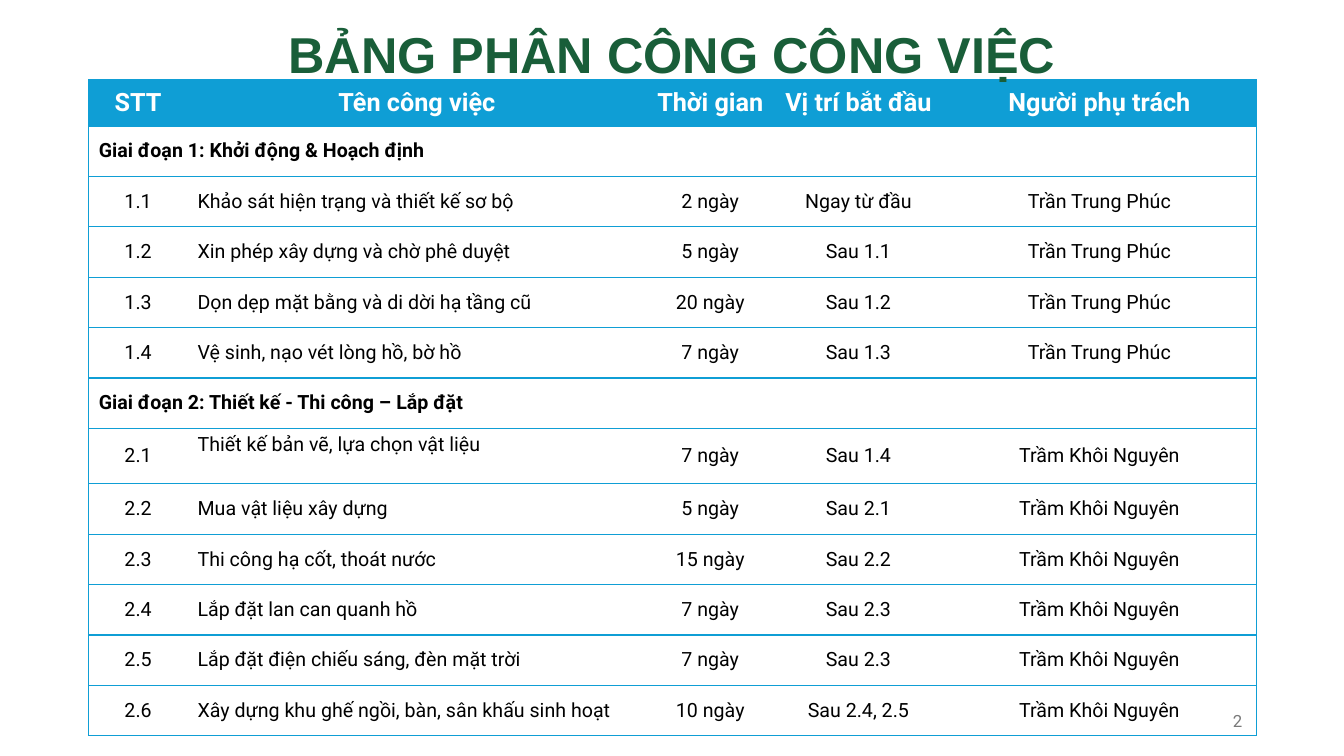
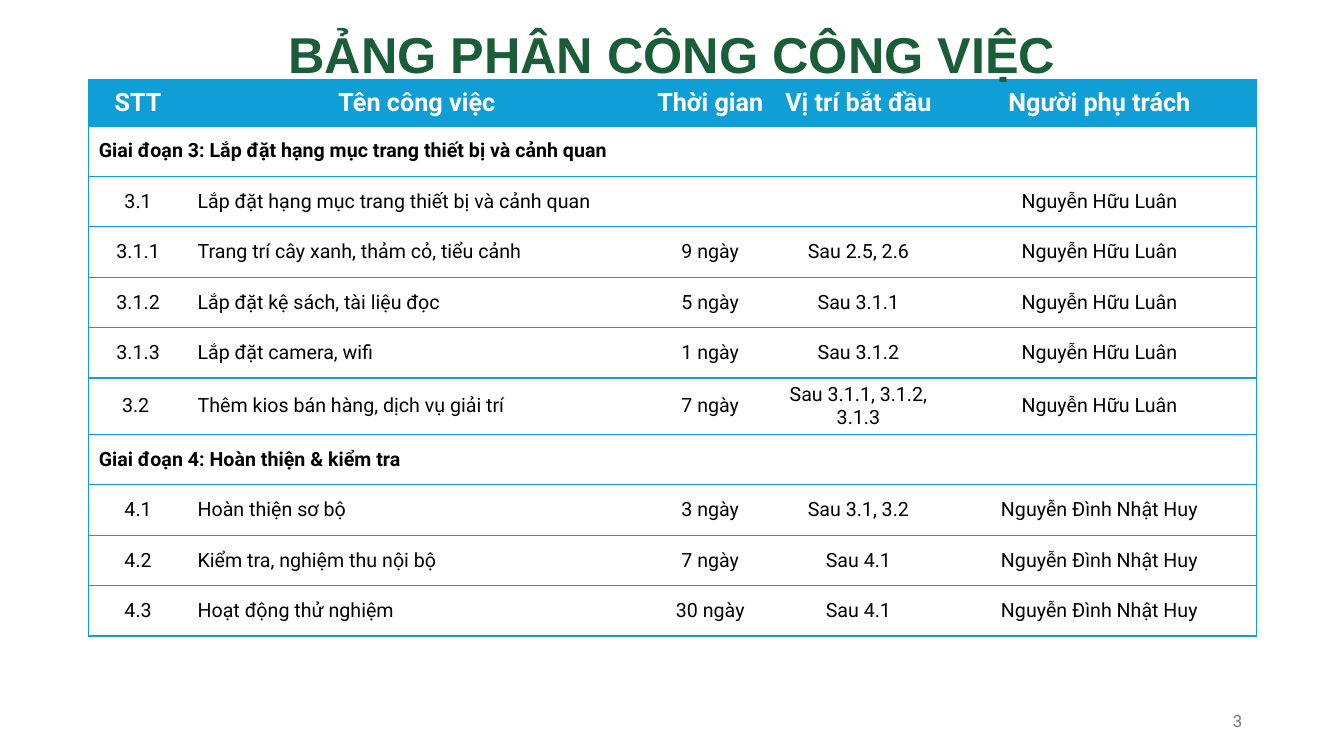
from lxml import etree
from pptx import Presentation
from pptx import util as u
from pptx.dml.color import RGBColor
from pptx.enum import text
from pptx.oxml.ns import qn

# Content: a plain string opens a phase, a tuple is one task
TITLE = "BẢNG PHÂN CÔNG CÔNG VIỆC"
HEADER = ("STT", "Tên công việc", "Thời gian", "Vị trí bắt đầu", "Người phụ trách")
PHUC, NGUYEN = "Trần Trung Phúc", "Trầm Khôi Nguyên"
LUAN, HUY = "Nguyễn Hữu Luân", "Nguyễn Đình Nhật Huy"
SLIDES = [
    [
        "Giai đoạn 1: Khởi động & Hoạch định",
        ("1.1", "Khảo sát hiện trạng và thiết kế sơ bộ", "2 ngày", "Ngay từ đầu", PHUC),
        ("1.2", "Xin phép xây dựng và chờ phê duyệt", "5 ngày", "Sau 1.1", PHUC),
        ("1.3", "Dọn dẹp mặt bằng và di dời hạ tầng cũ", "20 ngày", "Sau 1.2", PHUC),
        ("1.4", "Vệ sinh, nạo vét lòng hồ, bờ hồ", "7 ngày", "Sau 1.3", PHUC),
        "Giai đoạn 2: Thiết kế - Thi công – Lắp đặt",
        ("2.1", "Thiết kế bản vẽ, lựa chọn vật liệu", "7 ngày", "Sau 1.4", NGUYEN),
        ("2.2", "Mua vật liệu xây dựng", "5 ngày", "Sau 2.1", NGUYEN),
        ("2.3", "Thi công hạ cốt, thoát nước", "15 ngày", "Sau 2.2", NGUYEN),
        ("2.4", "Lắp đặt lan can quanh hồ", "7 ngày", "Sau 2.3", NGUYEN),
        ("2.5", "Lắp đặt điện chiếu sáng, đèn mặt trời", "7 ngày", "Sau 2.3", NGUYEN),
        ("2.6", "Xây dựng khu ghế ngồi, bàn, sân khấu sinh hoạt", "10 ngày", "Sau 2.4, 2.5", NGUYEN),
    ],
    [
        "Giai đoạn 3: Lắp đặt hạng mục trang thiết bị và cảnh quan",
        ("3.1", "Lắp đặt hạng mục trang thiết bị và cảnh quan", "", "", LUAN),
        ("3.1.1", "Trang trí cây xanh, thảm cỏ, tiểu cảnh", "9 ngày", "Sau 2.5, 2.6", LUAN),
        ("3.1.2", "Lắp đặt kệ sách, tài liệu đọc", "5 ngày", "Sau 3.1.1", LUAN),
        ("3.1.3", "Lắp đặt camera, wifi", "1 ngày", "Sau 3.1.2", LUAN),
        ("3.2 ", "Thêm kios bán hàng, dịch vụ giải trí", "7 ngày", "Sau 3.1.1, 3.1.2, 3.1.3", LUAN),
        "Giai đoạn 4: Hoàn thiện & kiểm tra",
        ("4.1", "Hoàn thiện sơ bộ", "3 ngày", "Sau 3.1, 3.2", HUY),
        ("4.2", "Kiểm tra, nghiệm thu nội bộ", "7 ngày", "Sau 4.1", HUY),
        ("4.3", "Hoạt động thử nghiệm", "30 ngày", "Sau 4.1", HUY),
    ],
]
FIRST_NUMBER = 2

# Theme and grid
LINE = "0F9ED5"
THEME = {
    "title": dict(name="Arial", size=36, bold=True, color="195E39"),
    "header": dict(name="Roboto", size=18, bold=True, color="FFFFFF"),
    "phase": dict(name="Roboto", size=14, bold=True, color="000000"),
    "task": dict(name="Roboto", size=14, bold=False, color="000000"),
    "number": dict(name="Roboto", size=12, bold=False, color="797979"),
}
WIDTH, HEIGHT = 13.33, 7.5
LEFT, TOP = 0.88, 0.79
COLS = (0.98, 4.55, 1.27, 1.67, 3.11)
HEADER_H, ROW_H = 0.46, 0.5
TALL_ROWS = {"2.1": 0.55, "3.2 ": 0.56}
TOP_ALIGNED = {"2.1"}  # tasks whose name sits at the top of the cell
CENTER, RIGHT, START = text.PP_ALIGN.CENTER, text.PP_ALIGN.RIGHT, text.PP_ALIGN.LEFT
MIDDLE, UPPER = text.MSO_ANCHOR.MIDDLE, text.MSO_ANCHOR.TOP


def write(tf, words, style, align):
    p = tf.paragraphs[0]
    p.alignment = align
    r = p.add_run()
    r.text = words
    fmt = dict(THEME[style])
    r.font.color.rgb = RGBColor.from_string(fmt.pop("color"))
    fmt["size"] = u.Pt(fmt["size"])
    for key, value in fmt.items():
        setattr(r.font, key, value)
    return p


def place(sp, *box):
    for key, value in zip(("left", "top", "width", "height"), box):
        setattr(sp, key, u.Inches(value))


def set_borders(cell, sides):
    tcPr = cell._tc.get_or_add_tcPr()
    for side in "LRTB":
        ln = etree.SubElement(tcPr, qn(f"a:ln{side}"), w=str(u.Pt(1)))
        if side in sides:
            fill = etree.SubElement(ln, qn("a:solidFill"))
            etree.SubElement(fill, qn("a:srgbClr"), val=LINE)
        else:
            etree.SubElement(ln, qn("a:noFill"))


def add_schedule(s, rows):
    heights = [HEADER_H] + [TALL_ROWS.get(row[0], ROW_H) for row in rows]
    frame = s.shapes.add_table(len(heights), len(COLS), u.Inches(LEFT), u.Inches(TOP),
                               u.Inches(sum(COLS)), u.Inches(sum(heights)))
    table = frame.table
    table.first_row = table.horz_banding = False
    for col, w in zip(table.columns, COLS):
        col.width = u.Inches(w)
    for i, (row, h) in enumerate(zip([HEADER] + rows, heights)):
        table.rows[i].height = u.Inches(h)
        is_phase = isinstance(row, str)
        style = "header" if i == 0 else "phase" if is_phase else "task"
        if is_phase:
            table.cell(i, 0).merge(table.cell(i, len(COLS) - 1))
        for j in range(len(COLS)):
            cell = table.cell(i, j)
            is_last = is_phase or j == len(COLS) - 1
            set_borders(cell, "TB" + "L" * (j == 0) + "R" * is_last)
            if i == 0:
                cell.fill.solid()
                cell.fill.fore_color.rgb = RGBColor.from_string(LINE)
            else:
                cell.fill.background()
            cell.vertical_anchor = UPPER if j == 1 and row[0] in TOP_ALIGNED else MIDDLE
            words = row[j] if not is_phase else row if j == 0 else ""
            if words:
                align = START if is_phase or (i and j == 1) else CENTER
                write(cell.text_frame, words, style, align)


def add_title(s):
    sp = s.shapes.title
    place(sp, 0, -0.05, WIDTH, 0.85)
    tf = sp.text_frame
    tf.vertical_anchor = UPPER
    tf.auto_size = text.MSO_AUTO_SIZE.SHAPE_TO_FIT_TEXT
    write(tf, TITLE, "title", CENTER).line_spacing = u.Pt(59.8)
    sp.element.getparent().append(sp.element)  # in front of the table


def add_number(s, number):
    sp = s.shapes.add_textbox(0, 0, 0, 0)
    place(sp, 9.42, 6.95, 3, 0.4)
    tf = sp.text_frame
    tf.word_wrap = True
    tf.vertical_anchor = MIDDLE
    write(tf, str(number), "number", RIGHT)


def main():
    prs = Presentation()
    prs.slide_width, prs.slide_height = u.Inches(WIDTH), u.Inches(HEIGHT)
    for number, rows in enumerate(SLIDES, FIRST_NUMBER):
        s = prs.slides.add_slide(prs.slide_layouts[5])
        add_schedule(s, rows)
        add_title(s)
        add_number(s, number)
    prs.save("out.pptx")


if __name__ == "__main__":
    main()
